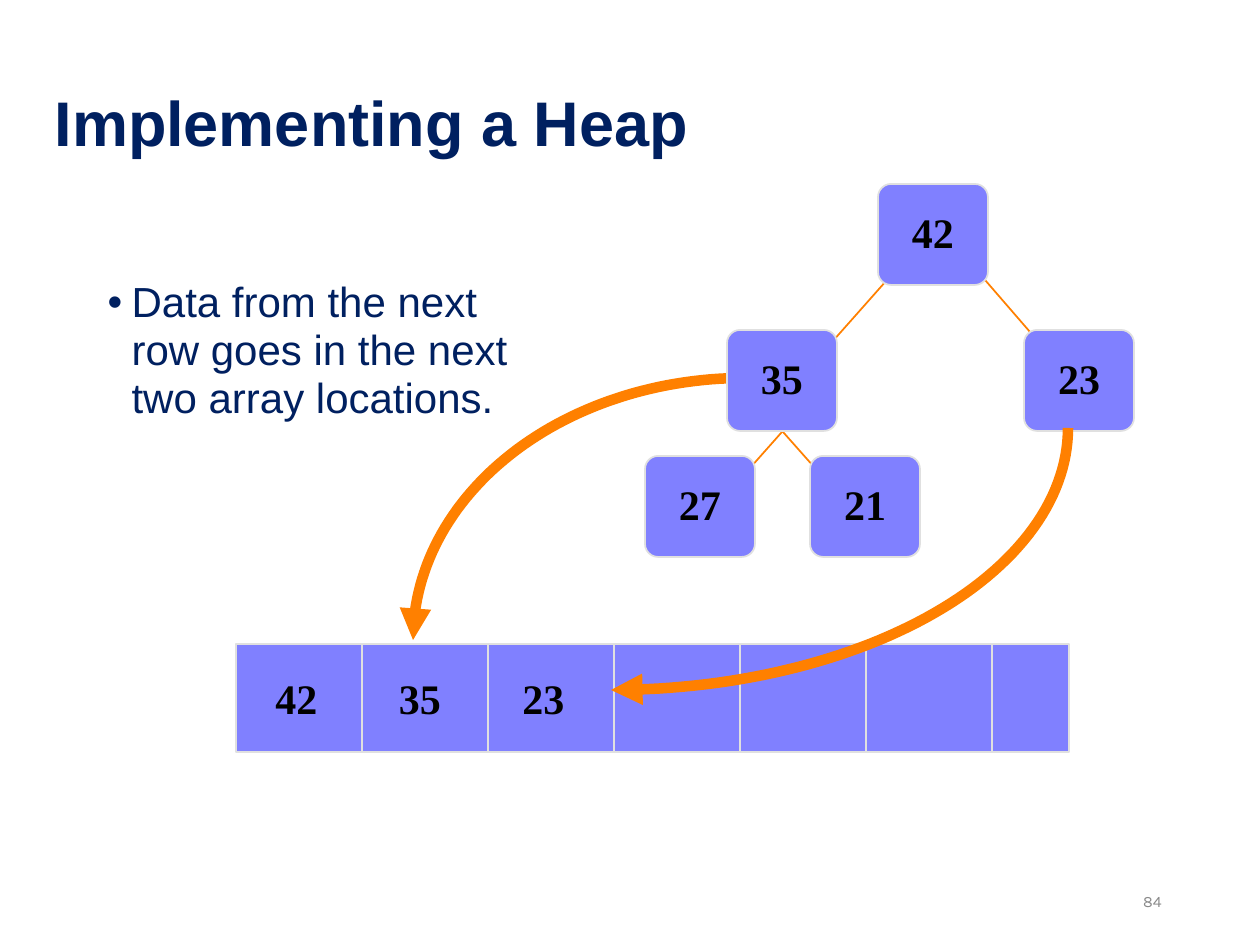
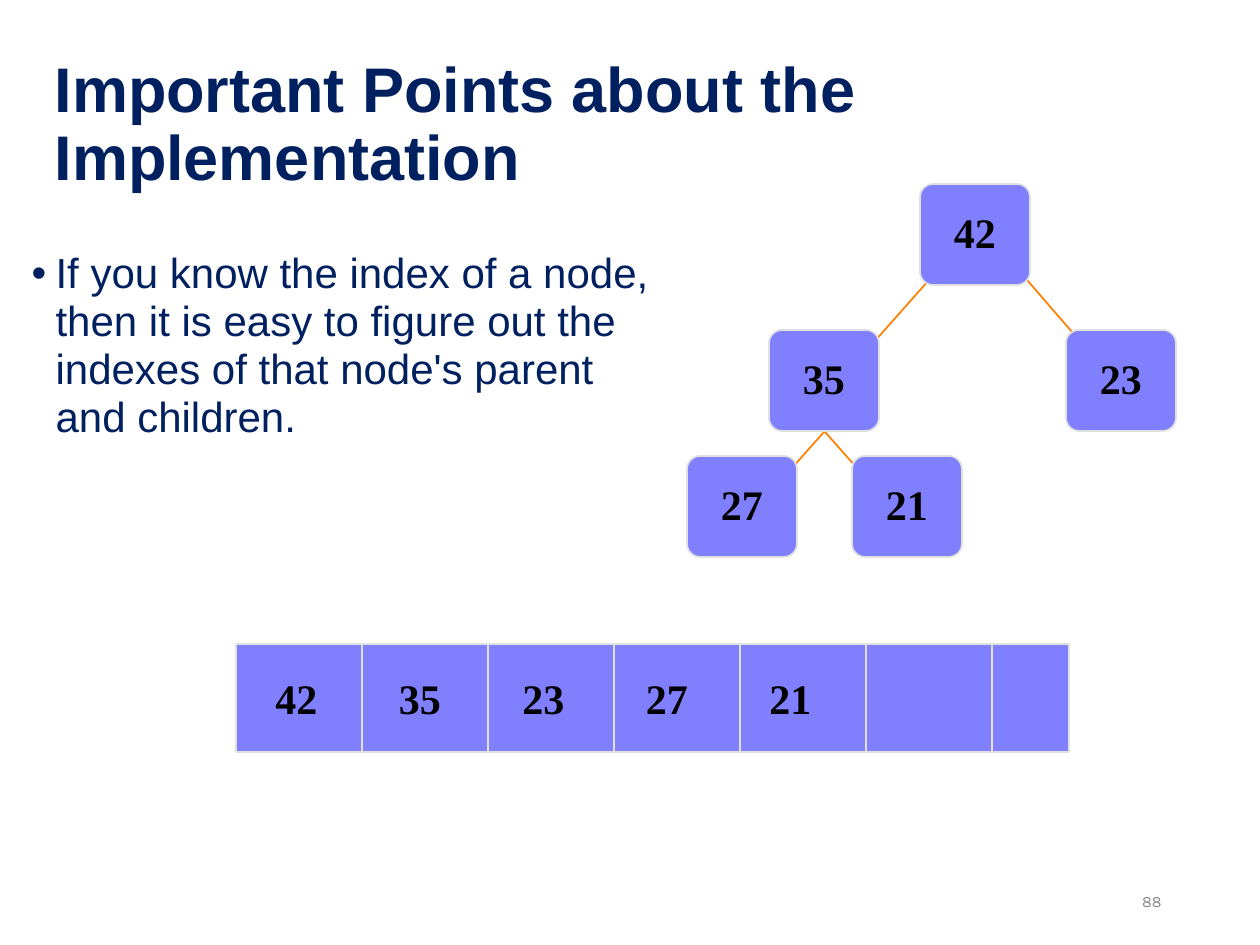
import math
from dataclasses import dataclass

import pptx
import pptx.dml.color
import pptx.enum.shapes
import pptx.enum.text
import pptx.oxml.ns
import pptx.util
from lxml import etree

ALIGN = pptx.enum.text.PP_ALIGN
ANCHOR = pptx.enum.text.MSO_ANCHOR
SHAPES = pptx.enum.shapes.MSO_SHAPE
PX_PER_INCH = 126


@dataclass(frozen=True)
class Theme:
    navy: str = "002060"
    node_fill: str = "8080FF"
    node_line: str = "E0E0E0"
    orange: str = "FF8000"
    black: str = "000000"
    gray: str = "898989"
    sans: str = "Arial"
    serif: str = "Times New Roman"
    number_font: str = "Karla"
    title_size: int = 36
    text_size: int = 24
    number_size: int = 9
    thin: int = 1
    thick: int = 6


THEME = Theme()

NODE_WIDTH, NODE_HEIGHT = 110, 101
TREE_NODES = [("42", 878, 184), ("35", 727, 330), ("23", 1024, 330),
              ("27", 645, 456), ("21", 810, 456)]
TREE_EDGES = [((887, 280), (809, 368)), ((979, 273), (1056, 362)),
              ((805, 406), (727, 494)), ((760, 406), (838, 494))]

ARRAY_LEFT, ARRAY_TOP, ARRAY_WIDTH, ARRAY_HEIGHT = 236, 644, 833, 108
CELL_WIDTH = 126
DIVIDER_COUNT = 6
VALUE_LEFT, VALUE_TOP, VALUE_STEP = 263, 670, 123.5


def px(length):
    return pptx.util.Inches(length / PX_PER_INCH)


def rgb(value):
    return pptx.dml.color.RGBColor.from_string(value)


def add_element(parent, tag, **attributes):
    return etree.SubElement(parent, pptx.oxml.ns.qn(tag), attributes)


def set_line(line, color, width):
    line.color.rgb = rgb(color)
    line.width = pptx.util.Pt(width)


def place(shape, left, top, width, height):
    shape.left, shape.top = px(left), px(top)
    shape.width, shape.height = px(width), px(height)


def write(shape, text, font=THEME.serif, size=THEME.text_size, color=THEME.black,
          bold=False, align=ALIGN.LEFT, anchor=ANCHOR.TOP, spacing=0.95,
          wrap=True, bullet=False):
    """Fill the shape with one formatted paragraph."""
    frame = shape.text_frame
    frame.word_wrap = wrap
    frame.auto_size = pptx.enum.text.MSO_AUTO_SIZE.NONE
    frame.vertical_anchor = anchor
    paragraph = frame.paragraphs[0]
    if bullet:
        properties = paragraph._p.get_or_add_pPr()
        properties.set("marL", str(px(24)))
        properties.set("indent", str(-px(24)))
        bullet_color = add_element(properties, "a:buClr")
        add_element(bullet_color, "a:srgbClr", val=color)
        add_element(properties, "a:buChar", char="•")
    paragraph.alignment = align
    paragraph.line_spacing = spacing
    paragraph.space_before = pptx.util.Pt(0)
    run = paragraph.add_run()
    run.text = text
    run.font.name = font
    run.font.size = pptx.util.Pt(size)
    run.font.bold = bold
    run.font.color.rgb = rgb(color)


def add_text(slide, text, left, top, width, height, **text_format):
    box = slide.shapes.add_textbox(px(left), px(top), px(width), px(height))
    write(box, text, **text_format)


def add_line(slide, start, end, color):
    connector = slide.shapes.add_connector(
        pptx.enum.shapes.MSO_CONNECTOR.STRAIGHT,
        *(px(value) for value in (*start, *end)))
    set_line(connector.line, color, THEME.thin)
    add_element(connector._element.spPr, "a:effectLst")


def add_box(slide, kind, left, top, width, height):
    box = slide.shapes.add_shape(kind, px(left), px(top), px(width), px(height))
    box.shadow.inherit = False
    box.fill.solid()
    box.fill.fore_color.rgb = rgb(THEME.node_fill)
    set_line(box.line, THEME.node_line, THEME.thin)
    return box


def add_arc_arrow(slide, start, end, center, steps=60):
    """Draw a quarter ellipse around center, with an arrowhead at end."""
    points = []
    for step in range(steps + 1):
        angle = math.pi / 2 * step / steps
        points.append(tuple(
            px(c + (s - c) * math.cos(angle) + (e - c) * math.sin(angle))
            for s, e, c in zip(start, end, center)))
    builder = slide.shapes.build_freeform(*points[0])
    builder.add_line_segments(points[1:], close=False)
    arc = builder.convert_to_shape()
    arc.shadow.inherit = False
    arc.fill.background()
    set_line(arc.line, THEME.orange, THEME.thick)
    add_element(arc.line._get_or_add_ln(), "a:tailEnd", type="triangle")


def add_array(slide, values):
    add_box(slide, SHAPES.RECTANGLE, ARRAY_LEFT, ARRAY_TOP, ARRAY_WIDTH, ARRAY_HEIGHT)
    for index in range(1, DIVIDER_COUNT + 1):
        x = ARRAY_LEFT + index * CELL_WIDTH
        add_line(slide, (x, ARRAY_TOP), (x, ARRAY_TOP + ARRAY_HEIGHT), THEME.node_line)
    for index, value in enumerate(values):
        add_text(slide, value, VALUE_LEFT + index * VALUE_STEP, VALUE_TOP, 67, 60,
                 bold=True, wrap=False)


def add_tree(slide, shift):
    """Draw the heap, moved to the right by shift."""
    for start, end in TREE_EDGES:
        add_line(slide, (start[0] + shift, start[1]), (end[0] + shift, end[1]),
                 THEME.orange)
    for value, left, top in TREE_NODES:
        node = add_box(slide, SHAPES.ROUNDED_RECTANGLE, left + shift, top,
                       NODE_WIDTH, NODE_HEIGHT)
        node.adjustments[0] = 0.13
        write(node, value, bold=True, align=ALIGN.CENTER, anchor=ANCHOR.MIDDLE)


def add_heap_slide(presentation, title, title_area, body, body_area, number):
    slide = presentation.slides.add_slide(presentation.slide_layouts[1])
    title_shape, body_shape = slide.placeholders
    place(title_shape, *title_area)
    write(title_shape, title, font=THEME.sans, size=THEME.title_size,
          color=THEME.navy, bold=True, anchor=ANCHOR.MIDDLE, spacing=0.9)
    place(body_shape, *body_area)
    write(body_shape, body, font=THEME.sans, color=THEME.navy, bullet=True)
    add_text(slide, number, 890, 876, 284, 50, font=THEME.number_font,
             size=THEME.number_size, color=THEME.gray, align=ALIGN.RIGHT,
             anchor=ANCHOR.MIDDLE, spacing=1.0)
    return slide


def main():
    presentation = pptx.Presentation()
    presentation.slide_width = px(1260)
    presentation.slide_height = px(945)

    next_row = add_heap_slide(
        presentation, "Implementing a Heap", (42, 47, 1071, 158),
        "Data from the next row goes in the next two array locations.",
        (95, 273, 469, 567), "84")
    add_arc_arrow(next_row, start=(745, 378), end=(413, 640), center=(745, 640))
    add_array(next_row, ["42", "35", "23"])
    add_tree(next_row, shift=0)
    add_arc_arrow(next_row, start=(1068, 428), end=(611, 690), center=(611, 428))

    important_points = add_heap_slide(
        presentation, "Important Points about the Implementation",
        (42, 33, 1071, 186),
        "If you know the index of a node, then it is easy to figure out "
        "the indexes of that node's parent and children.",
        (19, 244, 665, 567), "88")
    add_array(important_points, ["42", "35", "23", "27", "21"])
    add_tree(important_points, shift=42)

    presentation.save("out.pptx")


if __name__ == "__main__":
    main()
